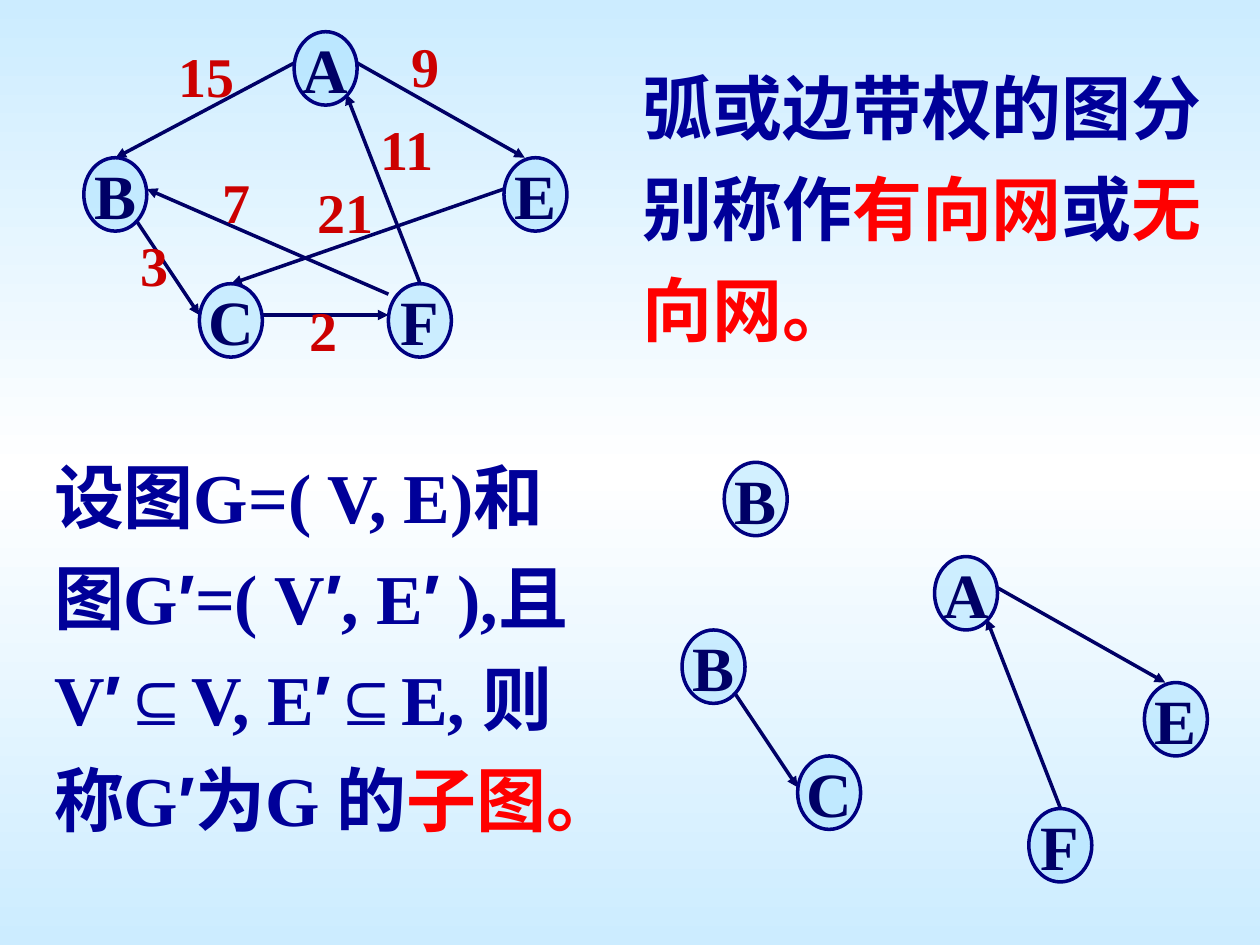
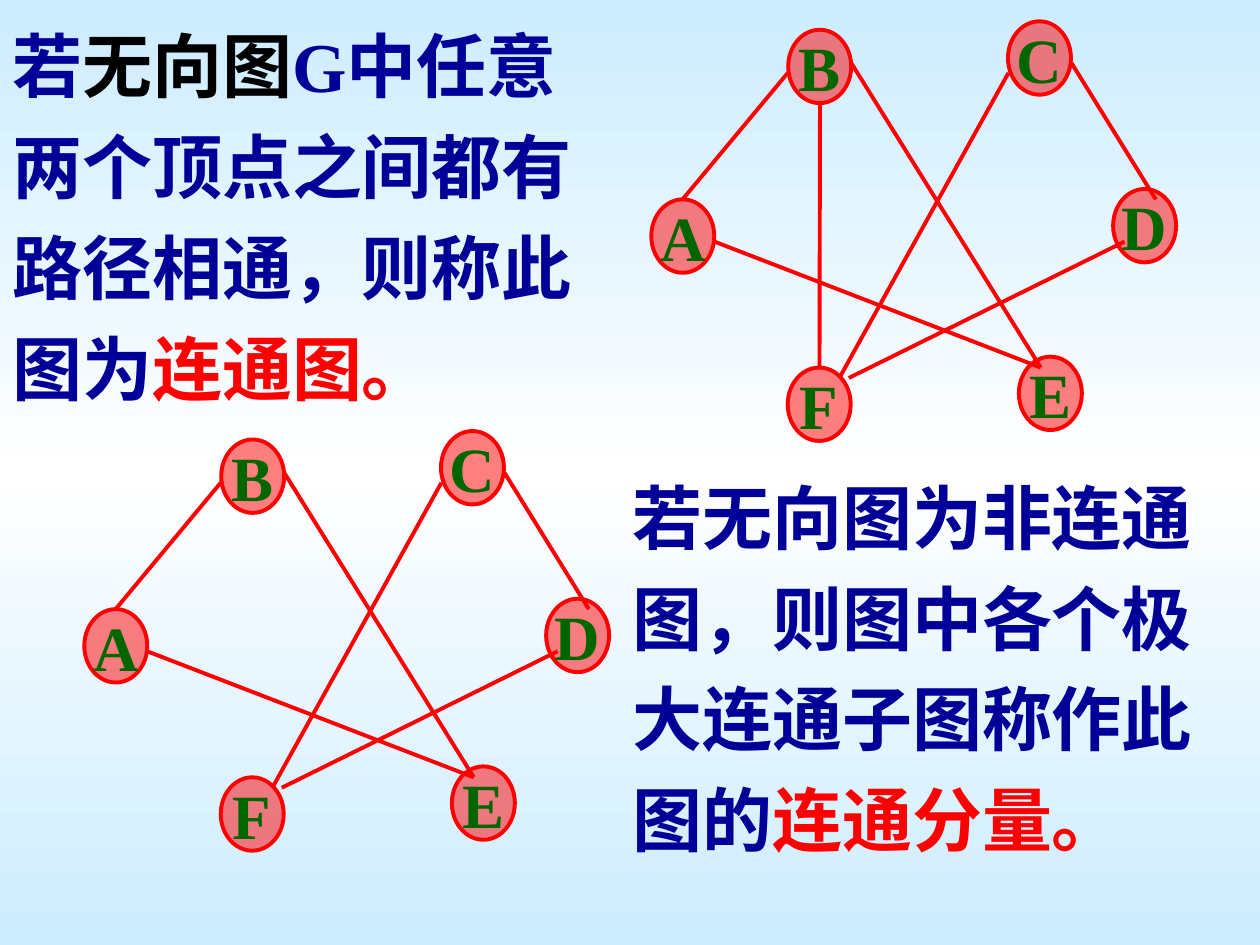
from itertools import groupby

from copy import deepcopy
from lxml import etree
from pptx import Presentation
from pptx.dml.color import RGBColor
from pptx.enum.shapes import MSO_CONNECTOR, MSO_SHAPE
from pptx.enum.text import MSO_ANCHOR, MSO_AUTO_SIZE, PP_ALIGN
from pptx.oxml.ns import qn
from pptx.util import Cm, Pt

STRAIGHT = MSO_CONNECTOR.STRAIGHT
OVAL = MSO_SHAPE.OVAL
MIDDLE = MSO_ANCHOR.MIDDLE
GROW = MSO_AUTO_SIZE.SHAPE_TO_FIT_TEXT
CENTER = PP_ALIGN.CENTER

LATIN, CHINESE, SYMBOL = "Times New Roman", "Noto Sans CJK SC", "Arial"
SYMBOLS = "′⊆"
BLUE, RED, BLACK = "000099", "FF0000", "000000"
WEIGHT_COLOR = "CC0000"
BACKGROUND = [(0, "CCECFF"), (0.5, "FFFFFF"), (1, "CCECFF")]
VERTEX_WIDTH, VERTEX_HEIGHT = 1.27, 1.48

DIRECTED = dict(fill="A7E2FF", outline="000080", edge="000066", letter="000066",
                width=2, arrow=True)
UNDIRECTED = dict(fill=RED, outline=RED, edge=RED, letter="006600",
                  width=2.25, arrow=False)

# All places are in centimetres: vertices by top left corner, edges by both ends
NETWORK = {
    "style": DIRECTED,
    "vertices": {"A": (5.93, 0.64), "B": (1.69, 3.18), "E": (10.16, 3.18),
                 "C": (4.02, 5.72), "F": (7.83, 5.72)},
    "edges": {"AB": (5.93, 1.27, 2.33, 3.18), "BC": (2.75, 4.45, 4.02, 6.35),
              "CF": (5.29, 6.35, 7.83, 6.35), "FA": (8.47, 5.72, 6.98, 1.9),
              "AE": (7.2, 1.27, 10.58, 3.18), "FB": (7.83, 5.93, 2.96, 3.81),
              "EC": (10.16, 3.81, 4.66, 5.72)},
}
WEIGHTS = [("15", 3.35, 0.71), ("9", 8.05, 0.51), ("7", 4.24, 3.25),
           ("21", 6.15, 3.45), ("11", 7.42, 2.18), ("3", 2.59, 4.52),
           ("2", 5.99, 5.84)]
CONNECTED = {
    "style": UNDIRECTED,
    "vertices": {"B": (15.89, 0.6), "A": (13.13, 4.02), "C": (20.32, 0.43),
                 "D": (22.44, 3.81), "F": (15.88, 7.41), "E": (20.54, 7.19)},
    "edges": {"AB": (15.88, 1.47, 13.76, 4.02), "BE": (17.16, 1.27, 20.98, 7.41),
              "AE": (14.4, 4.87, 20.98, 7.41), "CF": (20.33, 1.47, 16.92, 7.62),
              "CD": (21.6, 1.27, 23.3, 4.02), "DF": (22.67, 4.87, 17.11, 7.62),
              "BF": (16.53, 2.05, 16.52, 7.41)},
}

# Each page: graphs as (graph, vertices kept, edges kept, shift), weights,
# and texts as (left, top, width, height, paragraphs)
PAGES = [
    {
        "graphs": [
            (NETWORK, "ABECF", NETWORK["edges"], (0, 0)),
            (NETWORK, "AEF", ["FA", "AE"], (12.91, 10.58)),
            (NETWORK, "BC", ["BC"], (12.06, 9.52)),
            (NETWORK, "B", [], (12.91, 6.14)),
        ],
        "weights": WEIGHTS,
        "texts": [
            (0.84, 8.69, 12.27, 8.38, [
                [("设图G=( V, E)和", BLUE)],
                [("图G′=( V′, E′ ),且V′⊆V, E′⊆E, 则", BLUE)],
                [("称G′为G 的", BLUE), ("子图。", RED)],
            ]),
            (12.7, 0.84, 12.09, 6.35, [
                [("弧或边带权的图分别称作", BLUE), ("有向网", RED),
                 ("或", BLUE), ("无向网。", RED)],
            ]),
        ],
    },
    {
        "graphs": [
            (CONNECTED, "BACDFE", CONNECTED["edges"], (0, 0)),
            (CONNECTED, "BACDFE", ["AB", "BE", "AE", "CF", "CD", "DF"],
             (-11.43, 8.26)),
        ],
        "weights": [],
        "texts": [
            (0, 0, 12.07, 8.38, [
                [("若", BLUE), ("无向图", BLACK),
                 ("G中任意两个顶点之间都有路径相通，则称此图为", BLUE),
                 ("连通图。", RED)],
            ]),
            (12.5, 9.1, 12.07, 8.38, [
                [("若无向图为非连通图，则图中各个极大连通子图称作此图的", BLUE),
                 ("连通分量。", RED)],
            ]),
        ],
    },
]


def rgb(color):
    return RGBColor.from_string(color)


def add_span(para, text, size, color, font=LATIN):
    span = para.add_run()
    span.text = text
    span.font.size = Pt(size)
    span.font.bold = True
    span.font.color.rgb = rgb(color)
    span.font.name = font
    east_asian = etree.SubElement(span.font._element, qn("a:ea"))
    east_asian.set("typeface", CHINESE)


def set_background(master):
    fill = master.background.fill
    fill.gradient()
    fill.gradient_angle = 270
    stop_list = master.element.find(".//" + qn("a:gsLst"))
    stop_list.append(deepcopy(stop_list[0]))
    for stop, (position, color) in zip(fill.gradient_stops, BACKGROUND):
        stop.position = position
        stop.color.rgb = rgb(color)


def add_edge(shapes, ends, style):
    line = shapes.add_connector(STRAIGHT, *map(Cm, ends))
    line.line.color.rgb = rgb(style["edge"])
    line.line.width = Pt(style["width"])
    if style["arrow"]:
        head = etree.SubElement(line.line._get_or_add_ln(), qn("a:tailEnd"))
        head.set("type", "triangle")
    etree.SubElement(line._element.spPr, qn("a:effectLst"))


def add_vertex(shapes, name, left, top, style):
    oval = shapes.add_shape(OVAL, Cm(left), Cm(top), Cm(VERTEX_WIDTH), Cm(VERTEX_HEIGHT))
    oval.shadow.inherit = False
    oval.fill.solid()
    oval.fill.fore_color.rgb = rgb(style["fill"])
    color = oval._element.spPr.find(qn("a:solidFill"))[0]
    etree.SubElement(color, qn("a:alpha")).set("val", "50000")
    oval.line.color.rgb = rgb(style["outline"])
    oval.line.width = Pt(style["width"])
    frame = oval.text_frame
    frame.word_wrap = False
    frame.vertical_anchor = MIDDLE
    frame.margin_left = frame.margin_right = Cm(0.25)
    frame.margin_top = frame.margin_bottom = Cm(0.13)
    para = frame.paragraphs[0]
    para.alignment = CENTER
    add_span(para, name, 36, style["letter"])


def add_graph(page, graph, vertices, edges, shift):
    """Draw the kept part of a graph, moved by shift, as one group."""
    shapes = page.shapes.add_group_shape().shapes
    right, down = shift
    for name in edges:
        x1, y1, x2, y2 = graph["edges"][name]
        add_edge(shapes, (x1 + right, y1 + down, x2 + right, y2 + down), graph["style"])
    for name in vertices:
        left, top = graph["vertices"][name]
        add_vertex(shapes, name, left + right, top + down, graph["style"])


def add_weight(page, text, left, top):
    box = page.shapes.add_textbox(Cm(left), Cm(top), Cm(0.5 + 0.57 * len(text)), Cm(1.63))
    box.text_frame.word_wrap = False
    add_span(box.text_frame.paragraphs[0], text, 32, WEIGHT_COLOR)


def add_text(page, left, top, width, height, paragraphs):
    box = page.shapes.add_textbox(Cm(left), Cm(top), Cm(width), Cm(height))
    frame = box.text_frame
    frame.word_wrap = True
    frame.auto_size = GROW
    for index, spans in enumerate(paragraphs):
        para = frame.add_paragraph() if index else frame.paragraphs[0]
        para.line_spacing = 1.2
        for text, color in spans:
            for is_symbol, letters in groupby(text, lambda letter: letter in SYMBOLS):
                add_span(para, "".join(letters), 40, color, SYMBOL if is_symbol else LATIN)


def main():
    deck = Presentation()
    deck.slide_width, deck.slide_height = Cm(25.4), Cm(19.05)
    set_background(deck.slide_master)
    for content in PAGES:
        page = deck.slides.add_slide(deck.slide_layouts[6])
        for graph in content["graphs"]:
            add_graph(page, *graph)
        for weight in content["weights"]:
            add_weight(page, *weight)
        for text in content["texts"]:
            add_text(page, *text)
    deck.save("out.pptx")


if __name__ == "__main__":
    main()
